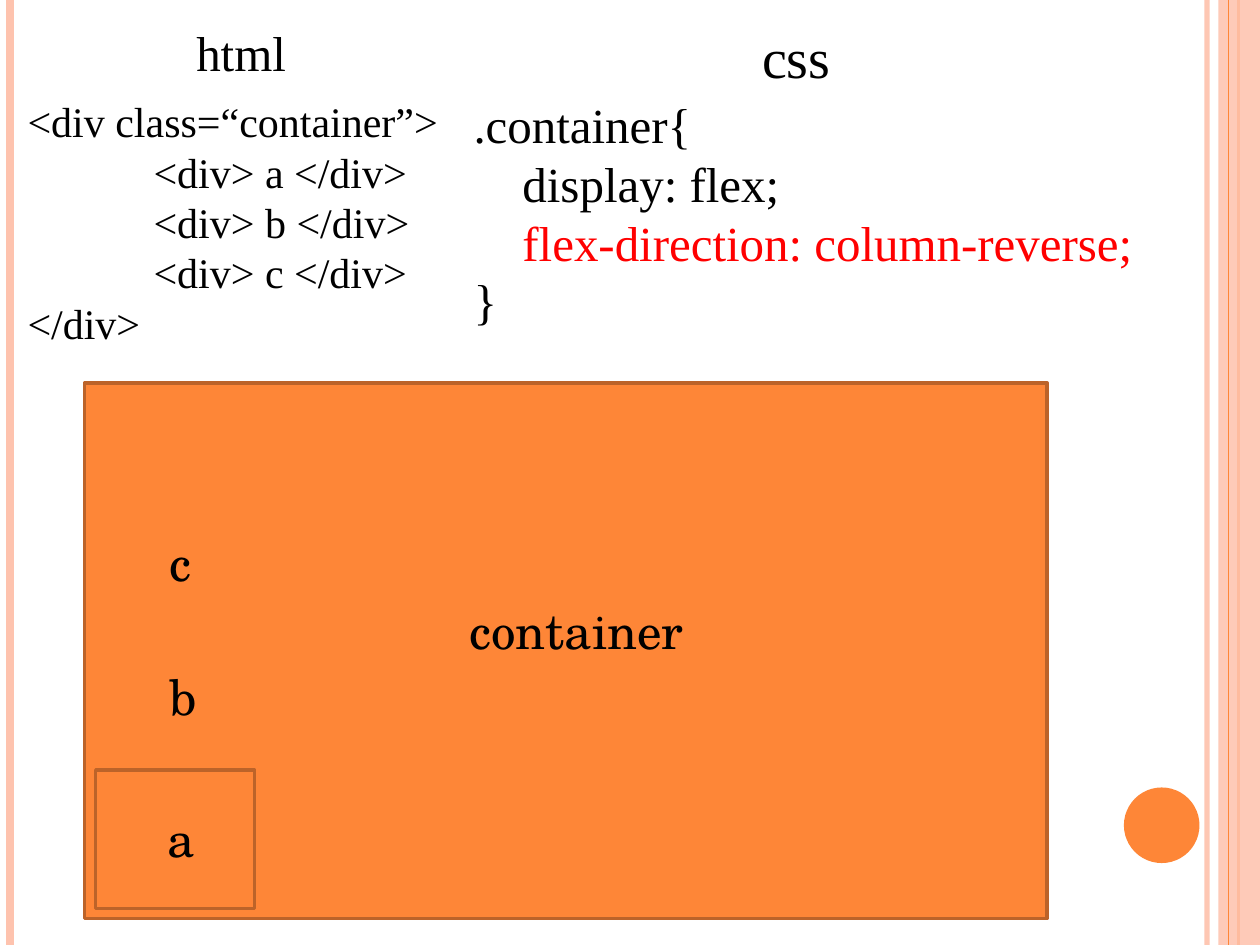
from lxml.etree import SubElement
from pptx import Presentation
from pptx.dml.color import RGBColor
from pptx.enum.shapes import MSO_CONNECTOR, MSO_SHAPE
from pptx.oxml.ns import qn
from pptx.util import Inches, Pt

ORANGE = RGBColor(0xFE, 0x86, 0x37)
PEACH = RGBColor(0xFE, 0xC3, 0xAE)
BROWN = RGBColor(0xBC, 0x63, 0x29)
BLACK = RGBColor(0, 0, 0)
RED = RGBColor(0xFF, 0, 0)
SERIF = "Times New Roman"
SCHOLA = "TeX Gyre Schola"
WIDTH, HEIGHT = 10, 7.5

HTML_CODE = [
    "<div class=“container”>",
    "\t<div> a </div>",
    "\t<div> b </div>",
    "\t<div> c </div>",
    "</div>",
]
CSS_CODE = [
    ".container{",
    "    display: flex;",
    "    flex-direction: column-reverse;",
    "}",
]
TEXTS = [
    (HTML_CODE, (0.12, 0.71, 4.61, 2.12), dict(size=24)),
    (CSS_CODE, (3.66, 0.7, 5.98, 1.99), dict(highlight="flex-direction")),
    (["html"], (1.46, 0.13, 2.2, 0.57), {}),
    (["css"], (5.95, 0.13, 2.2, 0.64), dict(size=32)),
    (["a"], (1.23, 6.37, 0.31, 0.57), dict(font=SCHOLA)),
    (["b"], (1.25, 5.24, 0.31, 0.57), dict(font=SCHOLA)),
    (["c"], (1.25, 4.18, 0.31, 0.57), dict(font=SCHOLA)),
    (["container"], (3.63, 4.72, 2.57, 0.57), dict(font=SCHOLA)),
]
STRIPES = [
    (9.58, PEACH, 3, 93),
    (0.08, PEACH, 4.5, 100),
    (9.83, ORANGE, 1.5, 100),
]
BOXES = [(0.67, 3.04, 7.64, 4.25), (0.76, 6.11, 1.26, 1.1)]


def set_alpha(sp, percent):
    color = next(sp._element.spPr.iter(qn("a:srgbClr")))
    SubElement(color, qn("a:alpha")).set("val", str(percent * 1000))


def add_stripe(s, x, color, width, alpha):
    line = s.shapes.add_connector(
        MSO_CONNECTOR.STRAIGHT, Inches(x), 0, Inches(x), Inches(HEIGHT))
    line.line.color.rgb = color
    line.line.width = Pt(width)
    if alpha < 100:
        set_alpha(line, alpha)
    SubElement(line._element.spPr, qn("a:effectLst"))


def add_block(s, kind, area, fill, outline=None):
    sp = s.shapes.add_shape(kind, *map(Inches, area))
    sp.shadow.inherit = False
    sp.fill.solid()
    sp.fill.fore_color.rgb = fill
    if outline is None:
        sp.line.fill.background()
    else:
        sp.line.color.rgb = outline
        sp.line.width = Pt(2)
    return sp


def add_tab_stop(p, position):
    tabs = SubElement(p._p.get_or_add_pPr(), qn("a:tabLst"))
    tab = SubElement(tabs, qn("a:tab"))
    tab.set("pos", str(Inches(position)))
    tab.set("algn", "l")


def add_text(s, lines, area, size=28, font=SERIF, highlight=None):
    tf = s.shapes.add_textbox(*map(Inches, area)).text_frame
    tf.word_wrap = True
    for i, text in enumerate(lines):
        p = tf.paragraphs[0] if i == 0 else tf.add_paragraph()
        if text.startswith("\t"):
            add_tab_stop(p, 1)
        r = p.add_run()
        r.text = text
        r.font.size = Pt(size)
        r.font.name = font
        r.font.color.rgb = RED if highlight and highlight in text else BLACK


def main():
    prs = Presentation()
    prs.slide_width, prs.slide_height = Inches(WIDTH), Inches(HEIGHT)
    s = prs.slides.add_slide(prs.slide_layouts[6])
    for stripe in STRIPES:
        add_stripe(s, *stripe)
    band = add_block(s, MSO_SHAPE.RECTANGLE, (9.67, 0, 0.33, HEIGHT), PEACH)
    set_alpha(band, 87)
    add_stripe(s, 9.75, ORANGE, 0.75, 100)
    add_block(s, MSO_SHAPE.OVAL, (8.92, 6.25, 0.6, 0.6), ORANGE)
    for area in BOXES:
        add_block(s, MSO_SHAPE.RECTANGLE, area, ORANGE, BROWN)
    for lines, area, style in TEXTS:
        add_text(s, lines, area, **style)
    prs.save("out.pptx")


if __name__ == "__main__":
    main()
